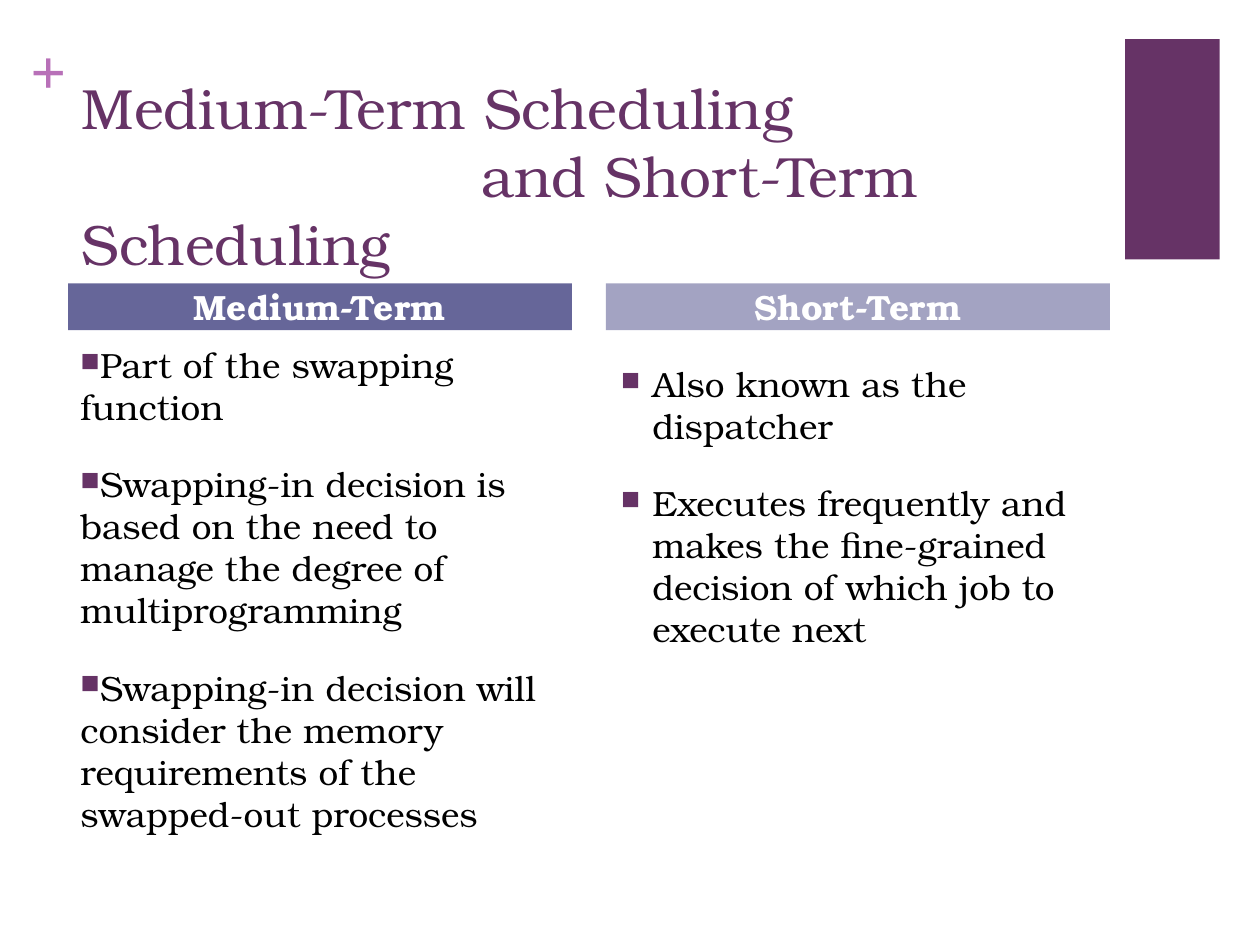
from dataclasses import dataclass

from lxml import etree
from pptx import Presentation
from pptx.dml.color import RGBColor
from pptx.enum.shapes import MSO_SHAPE
from pptx.enum.text import MSO_ANCHOR, MSO_AUTO_SIZE, PP_ALIGN
from pptx.oxml.ns import qn
from pptx.util import Inches, Pt

RECTANGLE = MSO_SHAPE.RECTANGLE
TOP, MIDDLE = MSO_ANCHOR.TOP, MSO_ANCHOR.MIDDLE
LEFT, CENTER = PP_ALIGN.LEFT, PP_ALIGN.CENTER
NO_AUTOFIT = MSO_AUTO_SIZE.NONE
TITLE_ONLY = 5


@dataclass(frozen=True)
class Theme:
    font: str = "TeX Gyre Bonum"
    plus_font: str = "Times New Roman"
    plum: str = "663366"
    orchid: str = "B870B8"
    text: str = "000000"
    white: str = "FFFFFF"
    title_size: float = 32.4
    plus_size: float = 36
    body_size: float = 20


THEME = Theme()
COLUMN_LEFT = 0.54
COLUMN_WIDTH = 4
COLUMN_STEP = 4.27
HEADER_TOP, HEADER_HEIGHT = 2.25, 0.37
BODY_HEIGHT = 4.02
HANGING = -0.25

TITLE = [("Medium-Term Scheduling", 0), ("and Short-Term Scheduling", 3.17)]
COLUMNS = [
    {
        "header": "Medium-Term",
        "fill": "666699",
        "body_offset": (0, 0.43),
        "margin": 0,
        "points": [
            "Part of the swapping function",
            "Swapping-in decision is based on the need to manage the degree of multiprogramming",
            "Swapping-in decision will consider the memory requirements of the swapped-out processes",
        ],
    },
    {
        "header": "Short-Term",
        "fill": "A3A3C2",
        "body_offset": (0.02, 0.58),
        "margin": 0.25,
        "points": [
            "Also known as the dispatcher",
            "Executes frequently and makes the fine-grained decision of which job to execute next",
        ],
    },
]


def apply_format(target, values):
    for name, value in values.items():
        setattr(target, name, value)


def place(shape, left, top, width, height):
    lengths = {"left": left, "top": top, "width": width, "height": height}
    apply_format(shape, {name: Inches(value) for name, value in lengths.items()})


def write(paragraph, text, size, color, font=THEME.font, bold=False):
    run = paragraph.add_run()
    run.text = text
    apply_format(run.font, {"name": font, "size": Pt(size), "bold": bold})
    run.font.color.rgb = RGBColor.from_string(color)


def set_indent(paragraph, margin, first_line):
    properties = paragraph._p.get_or_add_pPr()
    properties.set("marL", str(Inches(margin)))
    properties.set("indent", str(Inches(first_line)))
    return properties


def add_bullet(paragraph, margin):
    properties = set_indent(paragraph, margin, HANGING)
    color = etree.SubElement(properties, qn("a:buClr"))
    etree.SubElement(color, qn("a:srgbClr"), val=THEME.plum)
    etree.SubElement(properties, qn("a:buSzPct"), val="75000")
    etree.SubElement(properties, qn("a:buChar"), char="■")


def paragraphs_for(frame, items):
    for index, item in enumerate(items):
        paragraph = frame.add_paragraph() if index else frame.paragraphs[0]
        yield paragraph, item


def add_block(slide, box, color):
    block = slide.shapes.add_shape(RECTANGLE, *map(Inches, box))
    block.shadow.inherit = False
    block.fill.solid()
    block.fill.fore_color.rgb = RGBColor.from_string(color)
    block.line.fill.background()
    return block


def add_text_box(slide, box):
    frame = slide.shapes.add_textbox(*map(Inches, box)).text_frame
    apply_format(frame, {"word_wrap": True, "vertical_anchor": TOP})
    return frame


def add_plus(slide):
    frame = add_text_box(slide, (0.24, 0.25, 0.29, 0.61))
    sides = ("margin_left", "margin_top", "margin_right", "margin_bottom")
    apply_format(frame, dict.fromkeys(sides, 0))
    write(frame.paragraphs[0], "+", THEME.plus_size, THEME.orchid, THEME.plus_font, True)


def fill_title(slide):
    title = slide.shapes.title
    place(title, 0.55, 0.53, 8.26, 1.22)
    frame = title.text_frame
    apply_format(frame, {"word_wrap": True, "auto_size": NO_AUTOFIT, "vertical_anchor": TOP})
    for paragraph, (text, first_line) in paragraphs_for(frame, TITLE):
        paragraph.alignment = LEFT
        set_indent(paragraph, 0, first_line)
        write(paragraph, text, THEME.title_size, THEME.plum)


def add_header(slide, left, text, color):
    header = add_block(slide, (left, HEADER_TOP, COLUMN_WIDTH, HEADER_HEIGHT), color)
    frame = header.text_frame
    apply_format(frame, {"margin_top": 0, "margin_bottom": 0, "vertical_anchor": MIDDLE})
    paragraph = frame.paragraphs[0]
    paragraph.alignment = CENTER
    write(paragraph, text, THEME.body_size, THEME.white, bold=True)


def add_points(slide, left, top, points, margin):
    frame = add_text_box(slide, (left, top, COLUMN_WIDTH, BODY_HEIGHT))
    for paragraph, text in paragraphs_for(frame, points):
        paragraph.space_before = Pt(20)
        add_bullet(paragraph, margin)
        write(paragraph, text, THEME.body_size, THEME.text)


def main():
    presentation = Presentation()
    apply_format(presentation, {"slide_width": Inches(10), "slide_height": Inches(7.5)})
    slide = presentation.slides.add_slide(presentation.slide_layouts[TITLE_ONLY])
    add_block(slide, (8.93, 0.31, 0.75, 1.75), THEME.plum)
    add_plus(slide)
    fill_title(slide)
    for index, column in enumerate(COLUMNS):
        left = COLUMN_LEFT + index * COLUMN_STEP
        right_shift, drop = column["body_offset"]
        add_header(slide, left, column["header"], column["fill"])
        add_points(slide, left + right_shift, HEADER_TOP + drop, column["points"], column["margin"])
    presentation.save("out.pptx")


if __name__ == "__main__":
    main()
